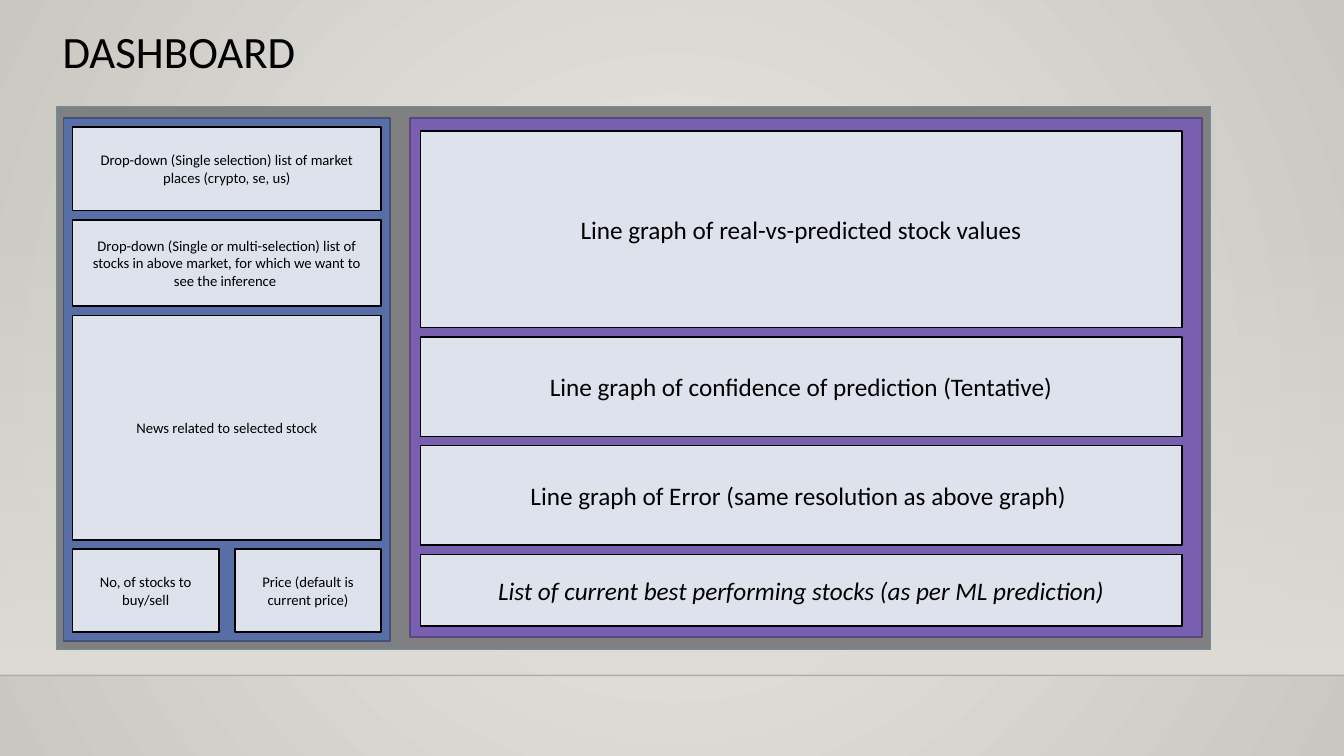
from dataclasses import dataclass

from lxml.etree import SubElement
from pptx import Presentation
from pptx.dml.color import RGBColor
from pptx.enum.shapes import MSO_CONNECTOR, MSO_SHAPE
from pptx.enum.text import MSO_ANCHOR, PP_ALIGN
from pptx.oxml import parse_xml
from pptx.oxml.ns import nsdecls, qn
from pptx.util import Inches, Pt

TITLE = "DASHBOARD"
FRAME = (0.56, 1.06, 11.45, 5.38)

# Each row: height in inches, texts of its equally wide cells
CONTROL_ROWS = [
    (0.83, ["Drop-down (Single selection) list of market places (crypto, se, us)"]),
    (0.86, ["Drop-down (Single or multi-selection) list of stocks in above market, "
            "for which we want to see the inference "]),
    (2.23, ["News related to selected stock"]),
    (0.82, ["No, of stocks to buy/sell", "Price (default is current price)"]),
]
GRAPH_ROWS = [
    (1.95, ["Line graph of real-vs-predicted stock values"]),
    (0.99, ["Line graph of confidence of prediction (Tentative)"]),
    (0.99, ["Line graph of Error (same resolution as above graph) "]),
    (0.71, ["List of current best performing stocks (as per ML prediction)"]),
]
ITALIC_TEXTS = {GRAPH_ROWS[-1][1][0]}
ROW_GAP, CELL_GAP = 0.09, 0.16
FLOOR_TOP, FLOOR_LINE = 2.21, 6.7


@dataclass(frozen=True)
class Theme:
    font: str = "Calibri"
    text: str = "000000"
    title_size: float = 32
    control_size: float = 10.5
    graph_size: float = 18
    backdrop: tuple = ("ECEAE7", "CAC7C1")
    floor: str = "DFDBD5"
    floor_line: str = "000001"
    frame: tuple = ("808080", "6892A0", 0.75)
    controls: tuple = ("586EA6", "41517B", 1.25)
    graphs: tuple = ("795FAF", "5A4681", 1.25)
    cell: tuple = ("DEE2ED", "000000", 1.25)


THEME = Theme()
PANELS = [
    # box, style, first cell's left and top, row width, rows, type size
    ((0.63, 1.17, 3.24, 5.19), THEME.controls, 0.72, 1.26, 3.06,
     CONTROL_ROWS, THEME.control_size),
    ((4.07, 1.17, 7.85, 5.15), THEME.graphs, 4.17, 1.3, 7.55,
     GRAPH_ROWS, THEME.graph_size),
]


def gradient(stops, direction):
    """Gradient fill element from (position %, colour, opacity %) stops."""
    stop_xml = "".join(
        f'<a:gs pos="{pos * 1000}"><a:srgbClr val="{color}">'
        f'<a:alpha val="{opacity * 1000}"/></a:srgbClr></a:gs>'
        for pos, color, opacity in stops)
    return parse_xml(f'<a:gradFill {nsdecls("a")} rotWithShape="1">'
                     f'<a:gsLst>{stop_xml}</a:gsLst>{direction}</a:gradFill>')


def replace_gradient(fill, properties, new_fill):
    fill.gradient()
    properties.replace(properties.find(qn("a:gradFill")), new_fill)


def add_box(slide, box, style=None):
    shape = slide.shapes.add_shape(MSO_SHAPE.RECTANGLE, *map(Inches, box))
    shape.shadow.inherit = False
    if style:
        fill, line, width = style
        shape.fill.solid()
        shape.fill.fore_color.rgb = RGBColor.from_string(fill)
        shape.line.color.rgb = RGBColor.from_string(line)
        shape.line.width = Pt(width)
    return shape


def add_text(paragraph, text, size):
    run = paragraph.add_run()
    run.text = text
    run.font.name = THEME.font
    run.font.size = Pt(size)
    run.font.color.rgb = RGBColor.from_string(THEME.text)
    if text in ITALIC_TEXTS:
        run.font.italic = True


def add_backdrop(slide, width):
    first, last = THEME.backdrop
    fill = slide.background.fill
    fill.gradient()
    replace_gradient(
        fill, slide.element.find(".//" + qn("p:bgPr")),
        gradient([(0, first, 100), (100, last, 100)],
                 '<a:path path="circle"><a:fillToRect l="50000" t="50000" '
                 'r="50000" b="50000"/></a:path>'))

    floor = add_box(slide, (0, FLOOR_TOP, width, FLOOR_LINE - FLOOR_TOP))
    floor.line.fill.background()
    replace_gradient(
        floor.fill, floor.element.spPr,
        gradient([(0, THEME.floor, 0), (100, THEME.floor, 100)],
                 '<a:lin ang="5400000" scaled="0"/>'))

    edge = slide.shapes.add_connector(
        MSO_CONNECTOR.STRAIGHT, 0, Inches(FLOOR_LINE), Inches(width), Inches(FLOOR_LINE))
    edge.line.color.rgb = RGBColor.from_string(THEME.floor_line)
    edge.line.width = Pt(1)
    properties = edge.element.spPr
    SubElement(properties.find(".//" + qn("a:srgbClr")), qn("a:alpha"), val="20000")
    SubElement(properties, qn("a:effectLst"))


def add_cells(slide, left, top, width, rows, size):
    for height, texts in rows:
        cell_width = (width - CELL_GAP * (len(texts) - 1)) / len(texts)
        for column, text in enumerate(texts):
            cell_left = left + column * (cell_width + CELL_GAP)
            cell = add_box(slide, (cell_left, top, cell_width, height), THEME.cell)
            cell.text_frame.word_wrap = True
            cell.text_frame.vertical_anchor = MSO_ANCHOR.MIDDLE
            paragraph = cell.text_frame.paragraphs[0]
            paragraph.alignment = PP_ALIGN.CENTER
            add_text(paragraph, text, size)
        top += height + ROW_GAP


def add_title(slide):
    title = slide.shapes.title
    title.left, title.top, title.width, title.height = map(Inches, (0.52, 0.25, 10.5, 0.71))
    title.text_frame.word_wrap = True
    title.text_frame.vertical_anchor = MSO_ANCHOR.TOP
    paragraph = title.text_frame.paragraphs[0]
    paragraph.alignment = PP_ALIGN.LEFT
    paragraph.line_spacing = 0.9
    add_text(paragraph, TITLE, THEME.title_size)


def main():
    deck = Presentation()
    deck.slide_width, deck.slide_height = Inches(13.33), Inches(7.5)
    slide = deck.slides.add_slide(deck.slide_layouts[5])
    add_backdrop(slide, deck.slide_width.inches)
    add_box(slide, FRAME, THEME.frame)
    for box, style, left, top, width, rows, size in PANELS:
        add_box(slide, box, style)
        add_cells(slide, left, top, width, rows, size)
    add_title(slide)
    deck.save("out.pptx")


if __name__ == "__main__":
    main()
